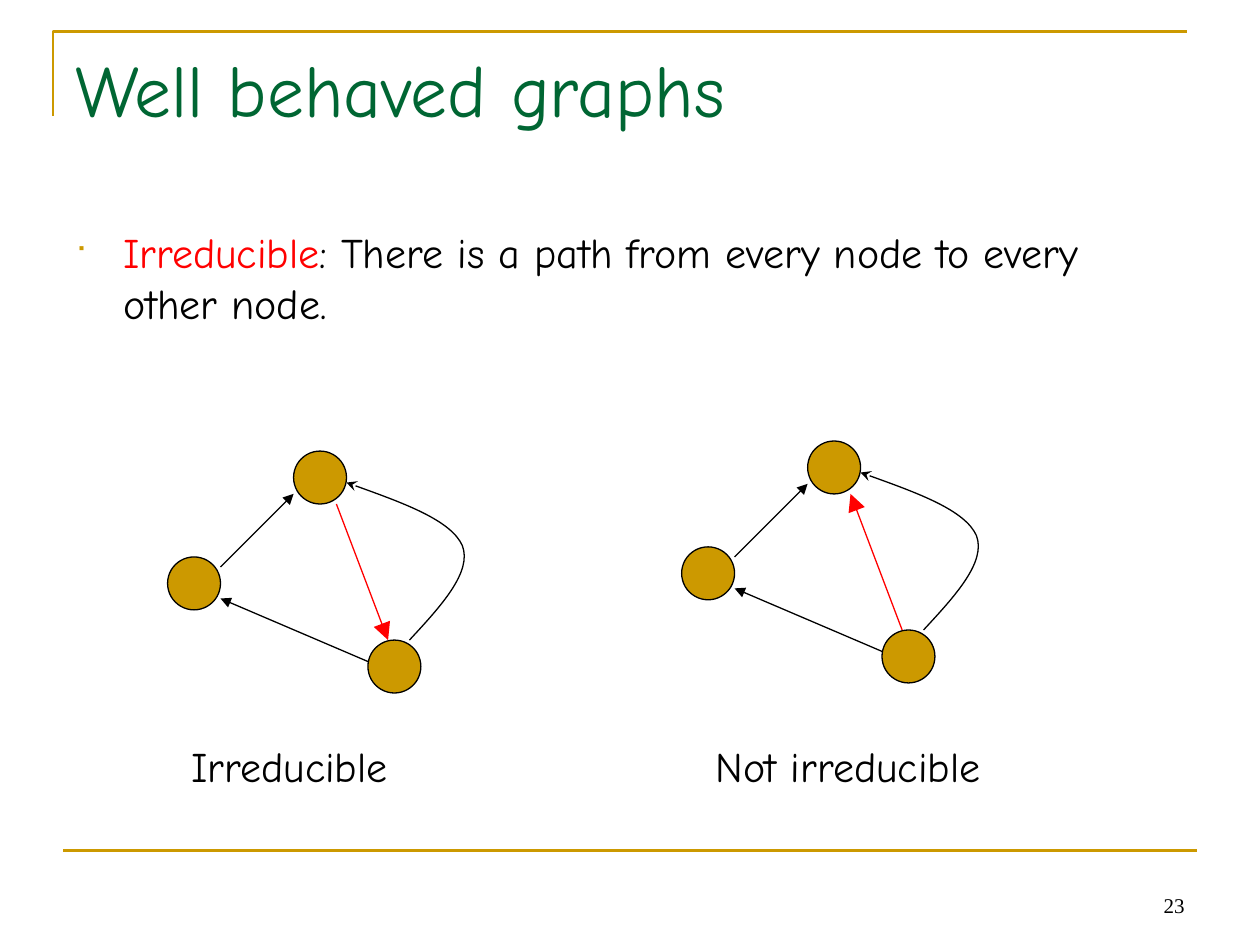
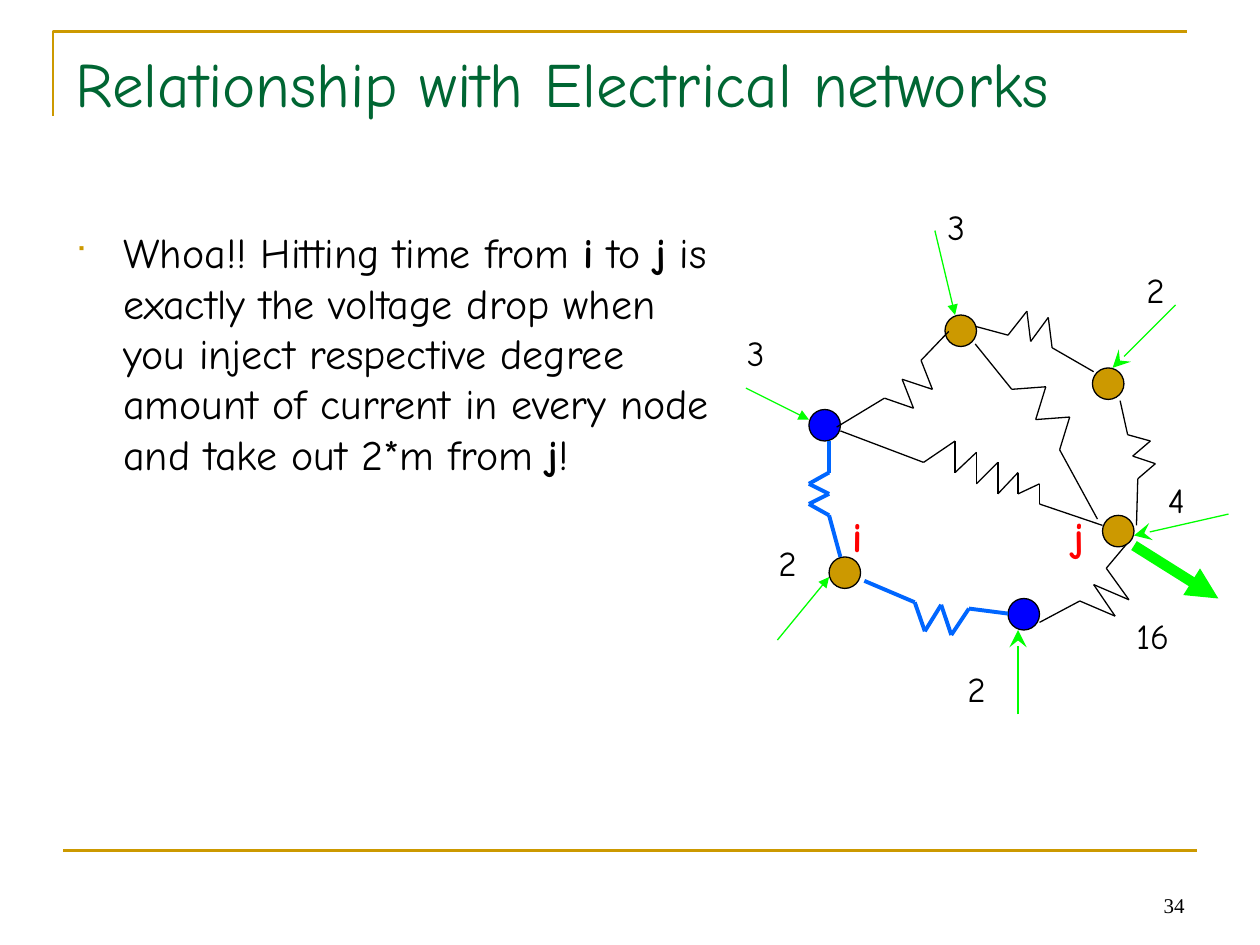
from dataclasses import dataclass
from itertools import pairwise

from lxml.etree import SubElement
from pptx import Presentation
from pptx.dml.color import RGBColor
from pptx.enum.shapes import MSO_CONNECTOR, MSO_SHAPE
from pptx.enum.text import MSO_ANCHOR, MSO_AUTO_SIZE, PP_ALIGN
from pptx.oxml.ns import qn
from pptx.util import Inches, Pt


@dataclass(frozen=True)
class Theme:
    font: str = "Comic Neue"
    number_font: str = "Times New Roman"
    bullet_font: str = "Wingdings"
    gold: str = "CC9900"
    green: str = "006633"
    black: str = "000000"
    red: str = "FF0000"
    blue: str = "0000FF"
    path_blue: str = "0066FF"
    current: str = "00FF00"
    title: int = 42
    long_title: int = 36
    body: int = 24
    label: int = 20
    number: int = 12
    thin: float = 0.75
    rule: float = 1.5
    thick: float = 2.25
    heavy: float = 6


T = Theme()
TRIANGLE, BIG_TRIANGLE = ("triangle", "med"), ("triangle", "lg")
STEALTH, BIG_STEALTH = ("stealth", "med"), ("stealth", "lg")


def inches(*values):
    return [Inches(v) for v in values]


# ---- Text ----
def write(tf, text, size=T.body, color=T.black, font=T.font, bold=False,
          align=PP_ALIGN.LEFT, anchor=MSO_ANCHOR.TOP):
    """Fill a frame with a string, or with (text, overrides) runs."""
    tf.word_wrap = True
    tf.auto_size = MSO_AUTO_SIZE.NONE
    tf.vertical_anchor = anchor
    p = tf.paragraphs[0]
    p.alignment = align
    for part, own in [(text, {})] if isinstance(text, str) else text:
        r = p.add_run()
        r.text = part
        r.font.name = font
        r.font.size = Pt(size)
        r.font.bold = own.get("bold", bold)
        r.font.color.rgb = RGBColor.from_string(own.get("color", color))
    return p


def add_text(slide, box, text, **fmt):
    return write(slide.shapes.add_textbox(*inches(*box)).text_frame, text, **fmt)


def add_bullet(slide, width, runs):
    p = add_text(slide, (0.5, 1.75, width, 4.95), runs)
    p.space_before = Pt(6)
    pPr = p._p.get_or_add_pPr()
    pPr.set("marL", str(Inches(0.38)))
    pPr.set("indent", str(-Inches(0.38)))
    SubElement(SubElement(pPr, qn("a:buClr")), qn("a:srgbClr"), val=T.gold)
    SubElement(pPr, qn("a:buSzPct"), val="65000")
    SubElement(pPr, qn("a:buFont"), typeface=T.bullet_font, charset="2")
    SubElement(pPr, qn("a:buChar"), char="■")


# ---- Lines and outlines ----
def style_line(sp, color, width, tip=None):
    sp.line.color.rgb = RGBColor.from_string(color)
    sp.line.width = Pt(width)
    if tip:
        kind, size = tip
        SubElement(sp.element.spPr.find(qn("a:ln")), qn("a:tailEnd"),
                   type=kind, w=size, len=size)


def add_line(slide, start, end, color=T.black, width=T.thin, tip=None):
    sp = slide.shapes.add_connector(MSO_CONNECTOR.STRAIGHT, *inches(*start, *end))
    style_line(sp, color, width, tip)
    SubElement(sp.element.spPr, qn("a:effectLst"))


def add_resistor(slide, points, color=T.black, width=T.thin):
    for start, end in pairwise(points):
        add_line(slide, start, end, color, width)


def add_polyline(slide, points, color=T.black, width=T.thin, tip=None):
    first, *rest = [inches(*pt) for pt in points]
    builder = slide.shapes.build_freeform(*first)
    builder.add_line_segments(rest, close=False)
    sp = builder.convert_to_shape()
    sp.shadow.inherit = False
    sp.fill.background()
    style_line(sp, color, width, tip)
    return sp


def add_curve(slide, points, **fmt):
    """Join the points after the first, three at a time, as Bezier curves."""
    sp = add_polyline(slide, points, **fmt)
    outline = next(sp.element.iter(qn("a:path")))
    steps = outline.findall(qn("a:lnTo"))
    for i in range(0, len(steps), 3):
        bezier = SubElement(outline, qn("a:cubicBezTo"))
        for step in steps[i:i + 3]:
            bezier.append(step[0])
            outline.remove(step)


def add_node(slide, left, top, size, color=T.gold):
    sp = slide.shapes.add_shape(MSO_SHAPE.OVAL, *inches(left, top, size, size))
    sp.shadow.inherit = False
    sp.fill.solid()
    sp.fill.fore_color.rgb = RGBColor.from_string(color)
    style_line(sp, T.black, T.thin)


# ---- Shared slide frame ----
def add_slide(prs, title, number, title_size=T.title):
    slide = prs.slides.add_slide(prs.slide_layouts[5])
    add_polyline(slide, [(0.42, 0.92), (0.42, 0.25), (9.42, 0.25)], T.gold, T.rule)
    add_line(slide, (0.5, 6.75), (9.5, 6.75), T.gold, T.rule)
    add_text(slide, (7.17, 6.83, 2.33, 0.5), number, size=T.number,
             font=T.number_font, align=PP_ALIGN.RIGHT, anchor=MSO_ANCHOR.BOTTOM)
    sp = slide.shapes.title
    sp.left, sp.top, sp.width, sp.height = inches(0.5, 0.3, 9, 1.25)
    write(sp.text_frame, title, size=title_size, color=T.green)
    return slide


# ---- Slide 1: two small directed graphs ----
def add_graph(slide, dx, dy, irreducible):
    def at(x, y):
        return x + dx, y + dy

    for spot in [(1.33, 4.42), (2.33, 3.58), (2.92, 5.08)]:
        add_node(slide, *at(*spot), 0.42)
    add_line(slide, at(1.75, 4.5), at(2.33, 3.92), tip=TRIANGLE)
    ends = [at(2.67, 4), at(3.08, 5.08)]
    add_line(slide, *(ends if irreducible else ends[::-1]), T.red, tip=BIG_TRIANGLE)
    add_line(slide, at(2.92, 5.25), at(1.75, 4.75), tip=TRIANGLE)
    add_curve(slide, [at(3.25, 5.08), at(3.5, 4.81), at(3.75, 4.54), at(3.67, 4.33),
                      at(3.58, 4.13), at(3.17, 3.98), at(2.75, 3.83)], tip=STEALTH)


def build_graphs_slide(prs):
    slide = add_slide(prs, "Well behaved graphs", "23")
    add_bullet(slide, 9, [
        ("Irreducible", {"color": T.red}),
        (": There is a path from every node to every other node.", {})])
    add_graph(slide, 0, 0, irreducible=True)
    add_graph(slide, 4.08, -0.08, irreducible=False)
    add_text(slide, (1.42, 5.83, 2.42, 0.5), "Irreducible")
    add_text(slide, (5.58, 5.83, 3.17, 0.5), "Not irreducible")


# ---- Slide 2: resistor network ----
NODES = [(8.67, 2.92, T.gold), (7.5, 2.5, T.gold), (6.42, 3.25, T.blue),
         (6.58, 4.42, T.gold), (8, 4.75, T.blue), (8.75, 4.09, T.gold)]

RESISTORS = [
    [(7.74, 2.73), (8.03, 3.09), (8.3, 3.07), (8.22, 3.33), (8.49, 3.31),
     (8.41, 3.57), (8.71, 4.12)],
    [(7.53, 2.63), (7.31, 2.86), (7.4, 3.09), (7.16, 3.01), (7.25, 3.24),
     (7.02, 3.16), (6.64, 3.39)],
    [(6.67, 3.42), (7.33, 3.67), (7.58, 3.5), (7.58, 3.75), (7.75, 3.59),
     (7.75, 3.84), (7.92, 3.67), (7.92, 3.92), (8.08, 3.75), (8.08, 3.92),
     (8.25, 3.84), (8.25, 4), (8.75, 4.17)],
    [(7.74, 2.59), (8, 2.66), (8.15, 2.47), (8.18, 2.71), (8.32, 2.52),
     (8.35, 2.76), (8.68, 2.95)],
    [(8.89, 3.18), (8.95, 3.45), (9.13, 3.5), (8.99, 3.62), (9.17, 3.68),
     (9.03, 3.8), (9.02, 4.17)],
    [(8.94, 4.32), (8.78, 4.51), (8.96, 4.76), (8.68, 4.64), (8.85, 4.89),
     (8.57, 4.77), (8.25, 4.94)],
]

PATH_RESISTORS = [
    [(6.58, 3.5), (6.58, 3.75), (6.42, 3.84), (6.58, 3.92), (6.42, 4),
     (6.58, 4.09), (6.67, 4.42)],
    [(8, 4.87), (7.69, 4.83), (7.55, 5.04), (7.47, 4.8), (7.34, 5.01),
     (7.26, 4.78), (6.86, 4.61)],
]

# Each current: start, end, arrow tip, amount, left and top of its label
CURRENTS = [
    ((5.92, 3.08), (6.42, 3.33), TRIANGLE, "3", (5.83, 2.58)),
    ((7.42, 1.83), (7.58, 2.5), TRIANGLE, "3", (7.42, 1.58)),
    ((6.17, 5.08), (6.58, 4.58), TRIANGLE, "2", (6.08, 4.25)),
    ((8.08, 5.67), (8.08, 5), BIG_STEALTH, "2", (7.58, 5.25)),
    ((9.33, 2.42), (8.83, 2.92), BIG_STEALTH, "2", (9, 2.08)),
    ((9.75, 4.08), (9, 4.25), BIG_STEALTH, "4", (9.17, 3.75)),
    ((9, 4.33), (9.67, 4.75), TRIANGLE, "16", (8.92, 4.83)),
]


def build_network_slide(prs):
    slide = add_slide(prs, "Relationship with Electrical networks", "34", T.long_title)
    bold = {"bold": True}
    add_bullet(slide, 5.25, [
        ("Whoa!! Hitting time from ", {}), ("i", bold), (" to ", {}), ("j", bold),
        (" is exactly the voltage drop when you inject respective degree amount of "
         "current in every node and take out 2*m from ", {}), ("j", bold), ("!", {})])
    for left, top, color in NODES:
        add_node(slide, left, top, 0.25, color)
    for points in RESISTORS:
        add_resistor(slide, points)
    for points in PATH_RESISTORS:
        add_resistor(slide, points, T.path_blue, T.thick)
    for name, left in [("i", 6.67), ("j", 8.42)]:
        add_text(slide, (left, 4, 0.42, 0.5), name, color=T.red, bold=True)
    for start, end, tip, amount, spot in CURRENTS:
        outflow = amount == "16"
        add_line(slide, start, end, T.current, T.heavy if outflow else T.thin, tip)
        add_text(slide, (*spot, 0.92 if outflow else 0.67, 0.44), amount, size=T.label)


def main():
    prs = Presentation()
    prs.slide_width, prs.slide_height = inches(10, 7.5)
    build_graphs_slide(prs)
    build_network_slide(prs)
    prs.save("out.pptx")


if __name__ == "__main__":
    main()
